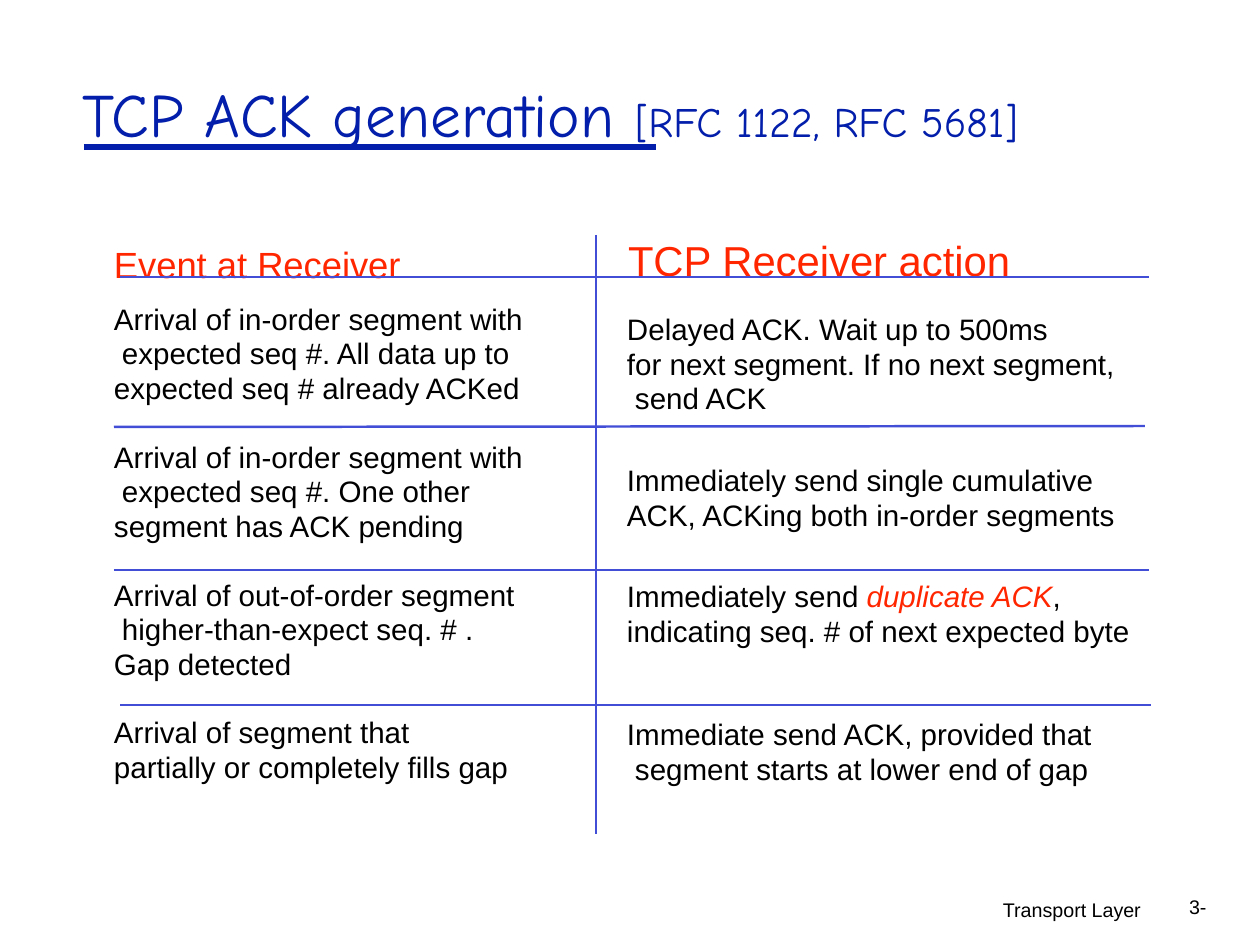
from dataclasses import dataclass

from lxml.etree import SubElement
from pptx import Presentation
from pptx.dml.color import RGBColor
from pptx.enum.shapes import MSO_CONNECTOR as Connector
from pptx.enum.text import MSO_ANCHOR as Anchor, MSO_AUTO_SIZE as AutoSize, PP_ALIGN as Align
from pptx.oxml.ns import qn
from pptx.shapes.base import BaseShape
from pptx.slide import Slide
from pptx.util import Emu, Pt

COLORS = {"title": "021EAA", "rule": "434ED6", "accent": "FF2600", "text": "000000"}
EMU_PER_PX = 10320
LEFT_COLUMN, RIGHT_COLUMN = 114, 627
HANGING_INDENT = 8
HEADING_TAB = 514


def px(length: int) -> Emu:
    return Emu(length * EMU_PER_PX)


@dataclass(frozen=True)
class Run:
    text: str
    size: int = 24
    color: str = "text"
    font: str = "Arial"
    italic: bool = False
    baseline: int = 0


@dataclass(frozen=True)
class Line:
    runs: tuple[Run, ...]
    indent: int = 0
    spacing: float | None = 28


@dataclass(frozen=True)
class Block:
    left: int
    top: int
    width: int
    height: int
    lines: tuple[Line, ...]


@dataclass(frozen=True)
class Rule:
    x1: int
    y1: int
    x2: int
    y2: int
    color: str = "rule"
    weight: float = 2


def plain(text: str, indent: int = 0) -> Line:
    return Line((Run(text),), indent)


TITLE = Block(83, 76, 1013, 76, (Line((
    Run("TCP ACK generation ", 50, "title", "Comic Neue"),
    Run("[RFC 1122, RFC 5681]", 34, "title", "Comic Neue"),
), spacing=None),))

HEADINGS = Block(LEFT_COLUMN, 214, 898, 52, (Line((
    Run("Event at Receiver\t", 51, "accent", baseline=-2000),
    Run("TCP Receiver action", 34, "accent"),
), spacing=None),))

EVENTS = (
    (302, (plain("Arrival of in-order segment with"),
           plain("expected seq #. All data up to", HANGING_INDENT),
           plain("expected seq # already ACKed"))),
    (440, (plain("Arrival of in-order segment with"),
           plain("expected seq #. One other", HANGING_INDENT),
           plain("segment has ACK pending"))),
    (578, (plain("Arrival of out-of-order segment"),
           plain("higher-than-expect seq. # .", HANGING_INDENT),
           plain("Gap detected"))),
    (715, (plain("Arrival of segment that"),
           plain("partially or completely fills gap"))),
)

ACTIONS = (
    (312, (plain("Delayed ACK. Wait up to 500ms"),
           plain("for next segment. If no next segment,"),
           plain("send ACK", HANGING_INDENT))),
    (463, (plain("Immediately send single cumulative"),
           plain("ACK, ACKing both in-order segments"))),
    (579, (Line((Run("Immediately send "),
                 Run("duplicate ACK", color="accent", italic=True),
                 Run(","))),
           plain("indicating seq. # of next expected byte"))),
    (717, (plain("Immediate send ACK, provided that"),
           plain("segment starts at lower end of gap", HANGING_INDENT))),
)

FOOTERS = (
    Block(1189, 895, 22, 25, (Line((Run("3-", 16),), spacing=18.7),)),
    Block(1003, 898, 144, 25, (Line((Run("Transport Layer", 16),), spacing=18.7),)),
)

RULES = (
    Rule(84, 147, 656, 147, "title", 4.27),
    Rule(120, 277, 1149, 277),
    Rule(114, 427, 1145, 426),
    Rule(114, 570, 1149, 570),
    Rule(120, 705, 1151, 705),
    Rule(596, 235, 596, 834),
)


def write_block(shape: BaseShape, block: Block) -> None:
    shape.left, shape.top = px(block.left), px(block.top)
    shape.width, shape.height = px(block.width), px(block.height)
    frame = shape.text_frame
    frame.word_wrap = True
    frame.auto_size = AutoSize.NONE
    frame.vertical_anchor = Anchor.TOP
    frame.margin_left = frame.margin_right = frame.margin_top = frame.margin_bottom = 0
    for index, line in enumerate(block.lines):
        paragraph = frame.add_paragraph() if index else frame.paragraphs[0]
        paragraph.alignment = Align.LEFT
        if line.spacing:
            paragraph.line_spacing = Pt(line.spacing)
        properties = paragraph._p.get_or_add_pPr()
        if line.indent:
            properties.set("marL", str(px(line.indent)))
        if any("\t" in run.text for run in line.runs):
            tabs = SubElement(properties, qn("a:tabLst"))
            SubElement(tabs, qn("a:tab"), pos=str(px(HEADING_TAB)), algn="l")
        for item in line.runs:
            run = paragraph.add_run()
            run.text = item.text
            run.font.name = item.font
            run.font.size = Pt(item.size)
            run.font.bold = False
            run.font.italic = item.italic
            run.font.color.rgb = RGBColor.from_string(COLORS[item.color])
            if item.baseline:
                run._r.get_or_add_rPr().set("baseline", str(item.baseline))


def add_block(slide: Slide, block: Block) -> None:
    write_block(slide.shapes.add_textbox(0, 0, 0, 0), block)


def add_rule(slide: Slide, rule: Rule) -> None:
    connector = slide.shapes.add_connector(
        Connector.STRAIGHT, px(rule.x1), px(rule.y1), px(rule.x2), px(rule.y2))
    connector.line.color.rgb = RGBColor.from_string(COLORS[rule.color])
    connector.line.width = Pt(rule.weight)
    SubElement(connector._element.spPr, qn("a:effectLst"))


def main() -> None:
    presentation = Presentation()
    presentation.slide_width, presentation.slide_height = px(1260), px(945)
    slide = presentation.slides.add_slide(presentation.slide_layouts[5])
    write_block(slide.shapes.title, TITLE)
    for left, width, cells in ((LEFT_COLUMN, 440, EVENTS), (RIGHT_COLUMN, 520, ACTIONS)):
        for top, lines in cells:
            add_block(slide, Block(left, top, width, 35 * len(lines), lines))
    for block in (HEADINGS, *FOOTERS):
        add_block(slide, block)
    for rule in RULES:
        add_rule(slide, rule)
    presentation.save("out.pptx")


if __name__ == "__main__":
    main()
